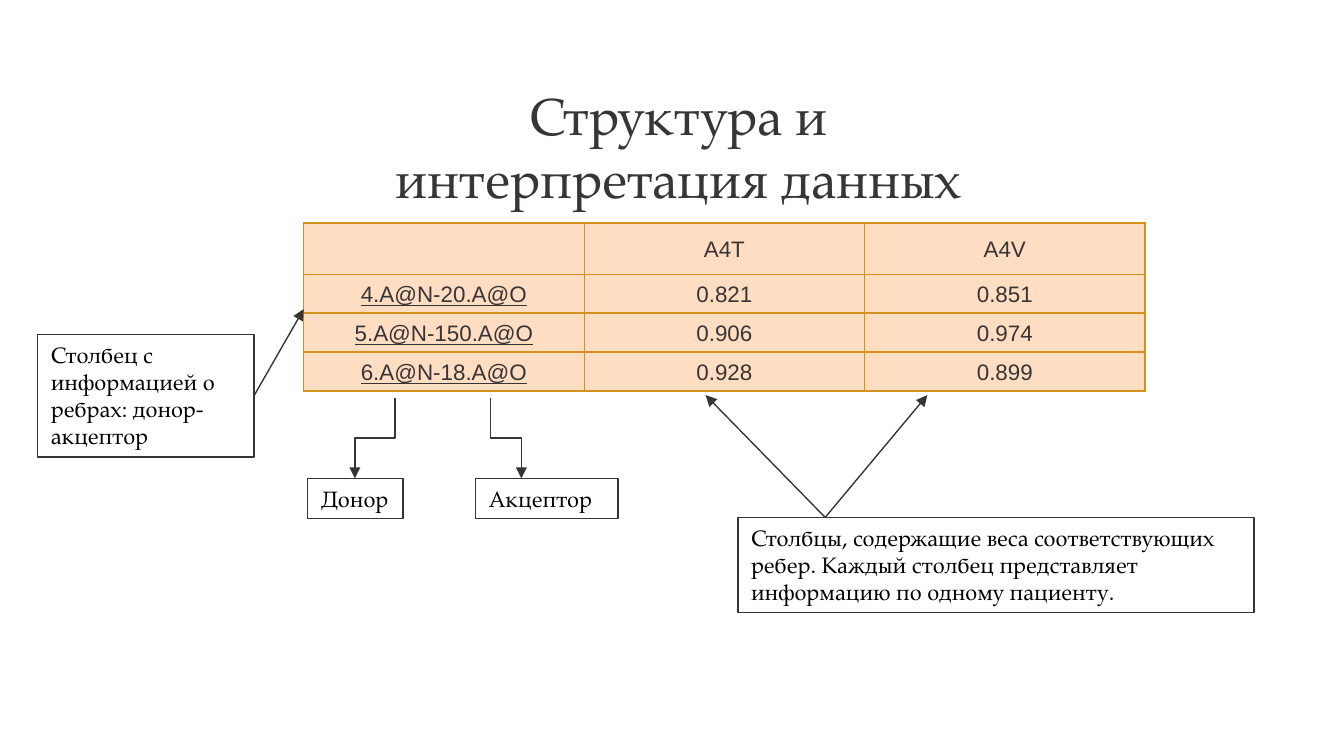
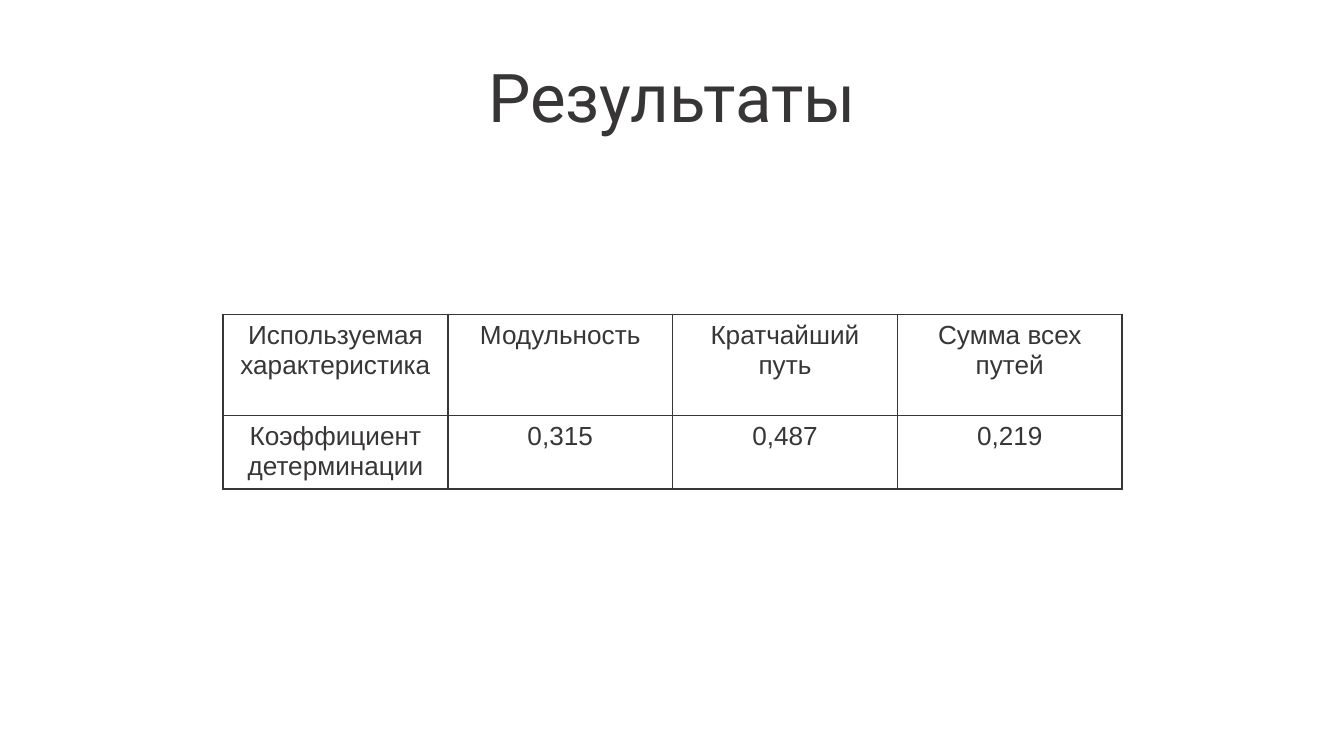
from pptx import Presentation
from pptx.dml.color import RGBColor
from pptx.enum.shapes import MSO_CONNECTOR as Link, MSO_SHAPE as Preset
from pptx.enum.text import MSO_ANCHOR as Anchor, PP_ALIGN as Align
from pptx.oxml.ns import qn
from pptx.util import Inches, Pt
from lxml.etree import SubElement

COLORS = {
    "ink": "383536",
    "arrow": "373435",
    "note": "000000",
    "peach": "FFDDC2",
    "gold": "D4921C",
}
SERIF, SANS, TITLE_SANS = "TeX Gyre Pagella", "Arial", "Roboto"
LINE_WIDTH = 0.75
EDGES = ("a:lnL", "a:lnR", "a:lnT", "a:lnB")


def rgb(name):
    return RGBColor.from_string(COLORS[name])


def set_all(target, values):
    for key, value in values.items():
        setattr(target, key, value)


def write(frame, words, font, size, color="ink", align=Align.LEFT, underline=None):
    paragraph = frame.paragraphs[0]
    paragraph.alignment = align
    if not words:  # keeps an empty cell as low as a filled one
        paragraph._p.get_or_add_endParaRPr().set("sz", str(size * 100))
        return
    run = paragraph.add_run()
    run.text = words
    set_all(run.font, {"name": font, "size": Pt(size), "underline": underline})
    run.font.color.rgb = rgb(color)


def add_title(slide, box, words, font, size):
    frame = slide.shapes.add_textbox(*map(Inches, box)).text_frame
    margins = ("margin_left", "margin_top", "margin_right", "margin_bottom")
    set_all(frame, {"word_wrap": True, "vertical_anchor": Anchor.TOP,
                    **dict.fromkeys(margins, Inches(0.1))})
    write(frame, words, font, size, align=Align.CENTER)


def add_borders(cell, color, width):
    props = cell._tc.get_or_add_tcPr()
    for index, edge in enumerate(EDGES):
        line = props.makeelement(qn(edge), {"w": str(Pt(width))})
        fill = SubElement(line, qn("a:solidFill"))
        SubElement(fill, qn("a:srgbClr"), val=COLORS[color])
        props.insert(index, line)


def add_grid(slide, box, rows, heights, size, border, width,
             fill=None, anchor=Anchor.TOP, underline_keys=False):
    frame = slide.shapes.add_table(len(rows), len(rows[0]), *map(Inches, box))
    table = frame.table
    set_all(table, {"first_row": False, "horz_banding": False})
    for column in table.columns:
        column.width = Inches(box[2] / len(rows[0]))
    for r, (values, height) in enumerate(zip(rows, heights)):
        table.rows[r].height = Inches(height)
        for c, words in enumerate(values):
            cell = table.cell(r, c)
            set_all(cell, {"vertical_anchor": anchor, "margin_bottom": Inches(0.03)})
            if fill:
                cell.fill.solid()
                cell.fill.fore_color.rgb = rgb(fill)
            else:
                cell.fill.background()
            add_borders(cell, border, width)
            write(cell.text_frame, words, SANS, size, align=Align.CENTER,
                  underline=True if underline_keys and c == 0 else None)


def add_note(slide, box, words):
    note = slide.shapes.add_shape(Preset.RECTANGLE, *map(Inches, box))
    note.shadow.inherit = False
    note.fill.background()
    note.line.color.rgb = rgb("ink")
    note.line.width = Pt(LINE_WIDTH)
    set_all(note.text_frame, {"word_wrap": True, "vertical_anchor": Anchor.TOP})
    write(note.text_frame, words, SERIF, 12, "note")
    return note


def add_arrow(slide, start, end, kind=Link.STRAIGHT):
    arrow = slide.shapes.add_connector(kind, *map(Inches, (*start, *end)))
    arrow.line.color.rgb = rgb("arrow")
    arrow.line.width = Pt(LINE_WIDTH)
    SubElement(arrow.line._get_or_add_ln(), qn("a:tailEnd"), type="triangle")
    SubElement(arrow._element.spPr, qn("a:effectLst"))
    return arrow


def add_down_elbow(slide, start, end):
    """Elbow that leaves and arrives vertically: a turned horizontal one."""
    (x1, y1), (x2, y2) = start, end
    mid_x, mid_y = (x1 + x2) / 2, (y1 + y2) / 2
    turn = 1 if x2 < x1 else -1
    half_w, half_h = turn * (y2 - y1) / 2, turn * (x2 - x1) / 2
    elbow = add_arrow(slide, (mid_x - half_w, mid_y + half_h),
                      (mid_x + half_w, mid_y - half_h), Link.ELBOW)
    elbow._element.spPr.find(qn("a:xfrm")).set("rot", str(turn * 90 % 360 * 60000))


def add_edge_notes(slide, box):
    """Notes on the edge column; box is that column."""
    left, top, _, height = box
    bottom = top + height
    # Whole column
    column_note = add_note(slide, (left - 1.98, top + 0.83, 1.61, 0.91),
                           "Столбец с информацией о ребрах: донор-акцептор")
    pointer = add_arrow(slide, (left - 0.37, top + 1.28), (left, top + 0.64))
    pointer.begin_connect(column_note, 3)
    # Two halves of an edge name: start x, end x, note x, note width
    halves = (("Донор", 0.68, 0.38, 0.03, 0.71),
              ("Акцептор", 1.39, 1.62, 1.28, 1.06))
    for words, start, end, note_x, width in halves:
        add_down_elbow(slide, (left + start, bottom + 0.05),
                       (left + end, bottom + 0.65))
        add_note(slide, (left + note_x, bottom + 0.65, width, 0.3), words)


def add_weight_note(slide, box):
    """Note on the weight columns, with arrows up to them."""
    left, top, _, _ = box
    for column_x in (-0.24, 1.41):
        add_arrow(slide, (left + 0.65, top), (left + column_x, top - 0.91))
    add_note(slide, box, "Столбцы, содержащие веса соответствующих ребер. "
                         "Каждый столбец представляет информацию по одному пациенту.")


def build_structure(slide):
    add_title(slide, (2.7, 0.52, 4.7, 0.69),
              "Структура и интерпретация данных", SERIF, 28)
    weights = [
        ("", "A4T", "A4V"),
        ("4.A@N-20.A@O", "0.821", "0.851"),
        ("5.A@N-150.A@O", "0.906", "0.974"),
        ("6.A@N-18.A@O", "0.928", "0.899"),
    ]
    left, top, width, height = 2.26, 1.66, 6.26, 1.25
    add_grid(slide, (left, top, width, height), weights,
             (0.38, 0.29, 0.29, 0.29), 12, "gold", LINE_WIDTH,
             fill="peach", anchor=Anchor.MIDDLE, underline_keys=True)
    add_weight_note(slide, (5.49, 3.85, 3.84, 0.71))
    add_edge_notes(slide, (left, top, width / 3, height))


def build_results(slide):
    add_title(slide, (2.65, 0.31, 4.7, 0.69), "Результаты", TITLE_SANS, 36)
    scores = [
        ("Используемая характеристика", "Модульность",
         "Кратчайший путь", "Сумма всех путей"),
        ("Коэффициент детерминации", "0,315", "0,487", "0,219"),
    ]
    add_grid(slide, (1.66, 2.34, 6.69, 1.29), scores, (0.75, 0.54), 14, "ink", 1)


def main():
    deck = Presentation()
    width = Inches(10)
    set_all(deck, {"slide_width": width, "slide_height": width * 9 // 16})
    for build in (build_structure, build_results):
        build(deck.slides.add_slide(deck.slide_layouts[6]))
    deck.save("out.pptx")


if __name__ == "__main__":
    main()
